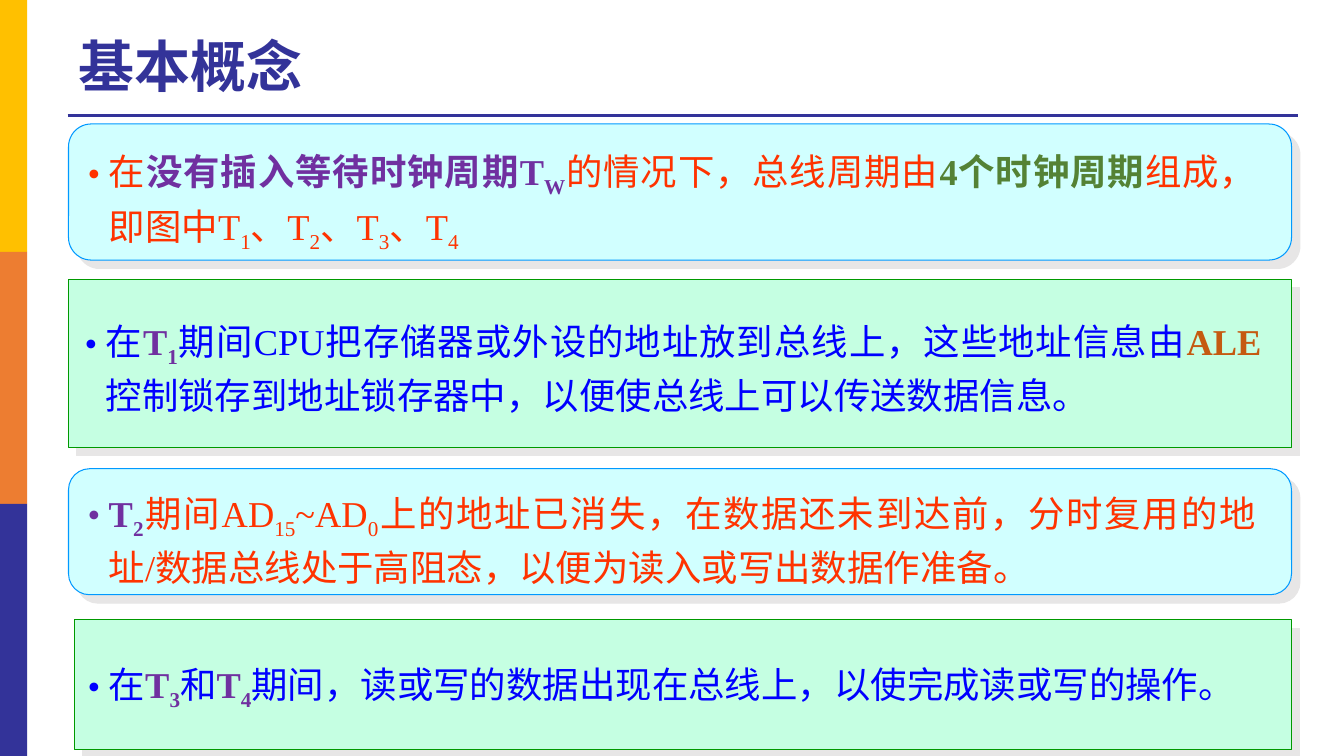
from dataclasses import dataclass

from lxml import etree
from pptx import Presentation
from pptx.dml.color import RGBColor
from pptx.enum.shapes import MSO_CONNECTOR, MSO_SHAPE
from pptx.enum.text import MSO_ANCHOR, MSO_AUTO_SIZE, PP_ALIGN
from pptx.oxml.ns import qn
from pptx.util import Inches, Pt

RECTANGLE = MSO_SHAPE.RECTANGLE
ROUNDED = MSO_SHAPE.ROUNDED_RECTANGLE
STRAIGHT = MSO_CONNECTOR.STRAIGHT
MIDDLE = MSO_ANCHOR.MIDDLE
GROW = MSO_AUTO_SIZE.SHAPE_TO_FIT_TEXT
JUSTIFY = PP_ALIGN.JUSTIFY


@dataclass(frozen=True)
class Theme:
    navy: str = "333399"
    gold: str = "FFC000"
    orange: str = "ED7D31"
    red: str = "FF3300"
    blue: str = "0000FF"
    purple: str = "7030A0"
    green: str = "548235"
    brown: str = "C55A11"
    shadow: str = "E7E6E6"
    cyan_panel: tuple = (ROUNDED, "D1FFFF", "0099FF")
    mint_panel: tuple = (RECTANGLE, "C5FFE2", "009900")
    latin_font: str = "Times New Roman"
    chinese_font: str = "Noto Sans CJK SC"
    title_size: int = 40
    body_size: int = 26


THEME = Theme()


def color(value):
    return RGBColor.from_string(value)


def inches(*lengths):
    return [Inches(length) for length in lengths]


def add_run(paragraph, text, text_color, bold=False, subscript=False,
            size=THEME.body_size, font_name=THEME.latin_font):
    run = paragraph.add_run()
    run.text = text
    run.font.size = Pt(size)
    run.font.bold = bold
    run.font.color.rgb = color(text_color)
    run.font.name = font_name
    properties = run._r.get_or_add_rPr()
    if subscript:
        properties.set("baseline", "-25000")
    etree.SubElement(properties, qn("a:ea"), typeface=THEME.chinese_font)


def add_bullet(paragraph):
    properties = paragraph._p.get_or_add_pPr()
    properties.set("marL", str(Inches(0.21)))
    properties.set("indent", str(-Inches(0.21)))
    etree.SubElement(properties, qn("a:buFont"), typeface=THEME.latin_font)
    etree.SubElement(properties, qn("a:buChar"), char="•")


def add_shadow(shape):
    shape.shadow.inherit = False
    effects = shape._element.spPr.find(qn("a:effectLst"))
    shadow = etree.SubElement(effects, qn("a:outerShdw"), dist=str(Pt(8.5)),
                              dir="2700000", algn="ctr", rotWithShape="0")
    etree.SubElement(shadow, qn("a:srgbClr"), val=THEME.shadow)


def add_title(slide, text):
    frame = slide.shapes.add_textbox(*inches(0.68, 0.25, 9.91, 0.87)).text_frame
    frame.word_wrap = True
    frame.vertical_anchor = MIDDLE
    paragraph = frame.paragraphs[0]
    paragraph.line_spacing = 0.9
    add_run(paragraph, text, THEME.navy, bold=True, size=THEME.title_size,
            font_name=THEME.chinese_font)


def add_title_rule(slide):
    rule = slide.shapes.add_connector(STRAIGHT, *inches(0.67, 1.15, 12.87, 1.15))
    rule.line.color.rgb = color(THEME.navy)
    rule.line.width = Pt(2.25)
    etree.SubElement(rule._element.spPr, qn("a:effectLst"))


def add_side_bands(slide):
    for index, fill in enumerate((THEME.gold, THEME.orange, THEME.navy)):
        band = slide.shapes.add_shape(RECTANGLE, *inches(0, 2.5 * index, 0.27, 2.5))
        band.shadow.inherit = False
        band.fill.solid()
        band.fill.fore_color.rgb = color(fill)
        band.line.fill.background()


def add_panel(slide, style, panel_box, text_box, runs):
    preset, fill, outline = style
    group = slide.shapes.add_group_shape()
    panel = group.shapes.add_shape(preset, *inches(*panel_box))
    panel.fill.solid()
    panel.fill.fore_color.rgb = color(fill)
    panel.line.color.rgb = color(outline)
    panel.line.width = Pt(0.75)
    add_shadow(panel)

    frame = group.shapes.add_textbox(*inches(*text_box)).text_frame
    frame.word_wrap = True
    frame.auto_size = GROW
    paragraph = frame.paragraphs[0]
    add_bullet(paragraph)
    paragraph.alignment = JUSTIFY
    paragraph.line_spacing = 1.1
    for run in runs:
        add_run(paragraph, *run)


def signal(name, index, text_color, bold=False):
    return [(name, text_color, bold), (index, text_color, bold, True)]


def main():
    presentation = Presentation()
    presentation.slide_width, presentation.slide_height = inches(13.33, 7.5)
    slide = presentation.slides.add_slide(presentation.slide_layouts[6])
    red, blue, purple = THEME.red, THEME.blue, THEME.purple

    add_title_rule(slide)
    add_side_bands(slide)
    add_title(slide, "基本概念")

    add_panel(slide, THEME.cyan_panel, (0.68, 1.23, 12.13, 1.35), (0.77, 1.38, 11.79, 1.06), [
        ("在", red),
        *signal("没有插入等待时钟周期T", "W", purple, True),
        ("的情况下，总线周期由", red),
        ("4个时钟周期", THEME.green, True),
        *signal("组成，即图中T", "1", red),
        *[run for index in "234" for run in signal("、T", index, red)],
    ])
    add_panel(slide, THEME.mint_panel, (0.68, 2.77, 12.13, 1.67), (0.74, 3.07, 11.87, 1.06), [
        ("在", blue),
        *signal("T", "1", purple, True),
        ("期间CPU把存储器或外设的地址放到总线上，这些地址信息由", blue),
        ("ALE", THEME.brown, True),
        ("控制锁存到地址锁存器中，以便使总线上可以传送数据信息。", blue),
    ])
    add_panel(slide, THEME.cyan_panel, (0.68, 4.65, 12.13, 1.25), (0.77, 4.77, 11.79, 1.06), [
        *signal("T", "2", purple, True),
        *signal("期间AD", "15", red),
        *signal("~AD", "0", red),
        ("上的地址已消失，在数据还未到达前，分时复用的地址/数据总线处于高阻态，"
         "以便为读入或写出数据作准备。", red),
    ])
    add_panel(slide, THEME.mint_panel, (0.74, 6.15, 12.07, 1.29), (0.77, 6.47, 11.82, 0.58), [
        ("在", blue),
        *signal("T", "3", purple, True),
        ("和", blue),
        *signal("T", "4", purple, True),
        ("期间，读或写的数据出现在总线上，以使完成读或写的操作。", blue),
    ])
    presentation.save("out.pptx")


if __name__ == "__main__":
    main()
